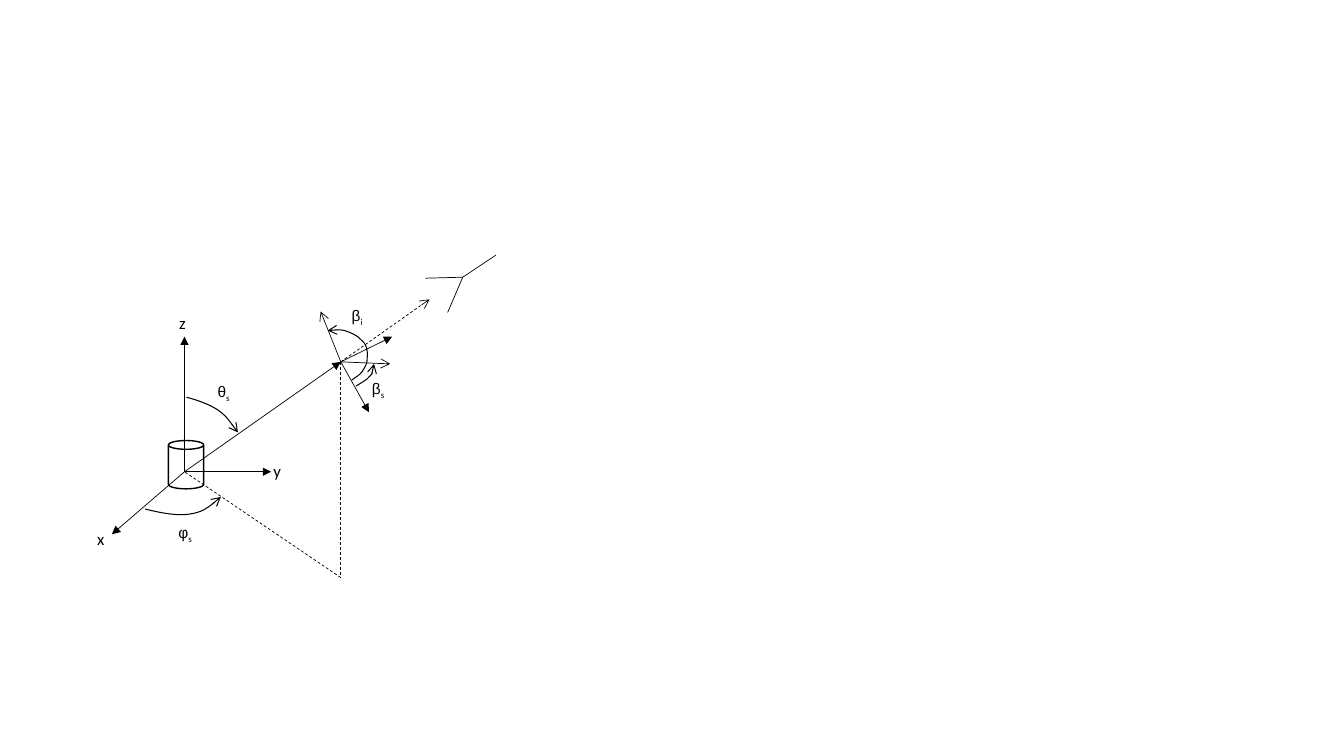
import lxml.etree
import pptx
import pptx.util
import pptx.dml.color
import pptx.enum.dml
import pptx.enum.shapes
import pptx.enum.text
import pptx.oxml.ns

Inches = pptx.util.Inches
Pt = pptx.util.Pt
qn = pptx.oxml.ns.qn
BLACK = pptx.dml.color.RGBColor(0, 0, 0)
WHITE = pptx.dml.color.RGBColor(255, 255, 255)

ORIGIN = (1.83, 4.68)
POINT = (3.38, 3.59)
FOOT = (3.38, 5.73)
ANTENNA = (4.59, 2.75)

CYLINDER = (1.67, 4.37, 0.35, 0.48)
LINES = [
    (ORIGIN, (1.11, 5.3), False, "triangle"),
    (ORIGIN, (2.69, 4.68), False, "triangle"),
    (ORIGIN, (1.83, 3.34), False, "triangle"),
    (ORIGIN, POINT, False, "triangle"),
    (POINT, FOOT, True, None),
    (FOOT, ORIGIN, True, None),
    (ANTENNA, (4.92, 2.53), False, None),
    ((4.22, 2.76), ANTENNA, False, None),
    ((4.44, 3.1), ANTENNA, False, None),
    (POINT, (4.26, 2.97), True, "arrow"),
    (POINT, (3.66, 4.09), False, "triangle"),
    (POINT, (3.89, 3.34), False, "triangle"),
    (POINT, (3.87, 3.61), False, "arrow"),
    (POINT, (3.18, 3.09), False, "arrow"),
]
ARCS = [
    [(1.44, 5.05), (1.6, 5.09), (1.76, 5.12), (1.88, 5.1),
     (2.01, 5.08), (2.1, 5.01), (2.19, 4.93)],
    [(1.85, 3.94), (1.96, 3.97), (2.07, 4.01), (2.15, 4.06),
     (2.24, 4.12), (2.3, 4.21), (2.36, 4.29)],
    [(3.53, 3.83), (3.58, 3.8), (3.64, 3.77), (3.67, 3.73),
     (3.7, 3.7), (3.71, 3.65), (3.71, 3.61)],
    [(3.49, 3.77), (3.53, 3.74), (3.57, 3.72), (3.59, 3.69),
     (3.61, 3.66), (3.63, 3.63), (3.64, 3.59),
     (3.64, 3.56), (3.65, 3.51), (3.64, 3.47),
     (3.63, 3.43), (3.62, 3.4), (3.58, 3.37),
     (3.55, 3.33), (3.48, 3.3), (3.42, 3.28),
     (3.37, 3.27), (3.31, 3.27), (3.25, 3.28)],
]
ANGLES = [
    ("θ", "s", (2.06, 3.74, 0.51, 0.29)),
    ("φ", "s", (1.67, 5.14, 0.51, 0.29)),
    ("β", "s", (3.59, 3.71, 0.49, 0.29)),
    ("β", "i", (3.39, 2.99, 0.81, 0.43)),
]
AXES = [("x", 0.93, 5.2), ("y", 2.68, 4.52), ("z", 1.74, 3.05)]
AXIS_SIZE = (0.14, 0.3)


def add_sub(parent, tag, **attrs):
    return lxml.etree.SubElement(parent, qn(tag), attrs)


def style_line(sp, width, head=None):
    sp.line.color.rgb = BLACK
    sp.line.width = Pt(width)
    if head:
        ln = sp._element.spPr.find(qn("a:ln"))
        add_sub(ln, "a:tailEnd", type=head)


def add_line(shapes, start, end, dashed, head):
    sp = shapes.add_connector(pptx.enum.shapes.MSO_CONNECTOR.STRAIGHT,
                              *map(Inches, start + end))
    if dashed:
        sp.line.dash_style = pptx.enum.dml.MSO_LINE.DASH
    style_line(sp, 0.5, head)
    add_sub(sp._element.spPr, "a:effectLst")


def add_arc(shapes, points):
    builder = shapes.build_freeform(*map(Inches, points[0]))
    builder.add_line_segments([tuple(map(Inches, pt)) for pt in points[1:]], close=False)
    sp = builder.convert_to_shape()
    sp.shadow.inherit = False
    sp.fill.background()
    style_line(sp, 0.75, "arrow")
    segments = list(sp._element.iter(qn("a:lnTo")))
    outline = segments[0].getparent()
    for i in range(0, len(segments), 3):
        curve = add_sub(outline, "a:cubicBezTo")
        for segment in segments[i:i + 3]:
            curve.append(segment[0])
            outline.remove(segment)


def add_label(shapes, box, runs, size):
    tf = shapes.add_textbox(*map(Inches, box)).text_frame
    tf.word_wrap = True
    for text, font in runs:
        r = tf.paragraphs[0].add_run()
        r.text = text
        r.font.name = font
        r.font.size = Pt(size)
        r.font.color.rgb = BLACK
    return tf


def main():
    prs = pptx.Presentation()
    prs.slide_width = Inches(13.33)
    prs.slide_height = Inches(7.5)
    s = prs.slides.add_slide(prs.slide_layouts[6])
    shapes = s.shapes.add_group_shape().shapes

    can = shapes.add_shape(pptx.enum.shapes.MSO_SHAPE.CAN, *map(Inches, CYLINDER))
    can.shadow.inherit = False
    can.fill.solid()
    can.fill.fore_color.rgb = WHITE
    style_line(can, 1)

    for line in LINES:
        add_line(shapes, *line)
    for points in ARCS:
        add_arc(shapes, points)
    for symbol, index, box in ANGLES:
        tf = add_label(shapes, box, [(symbol, "Arial"), (index, "Calibri")], 11)
        tf.paragraphs[0].runs[1].font._element.set("baseline", "-25000")
    for name, left, top in AXES:
        tf = add_label(shapes, (left, top) + AXIS_SIZE, [(name, "Calibri")], 12)
        tf.word_wrap = False
        tf.margin_left = tf.margin_right = 0
        tf.paragraphs[0].alignment = pptx.enum.text.PP_ALIGN.CENTER

    prs.save("out.pptx")


if __name__ == "__main__":
    main()
